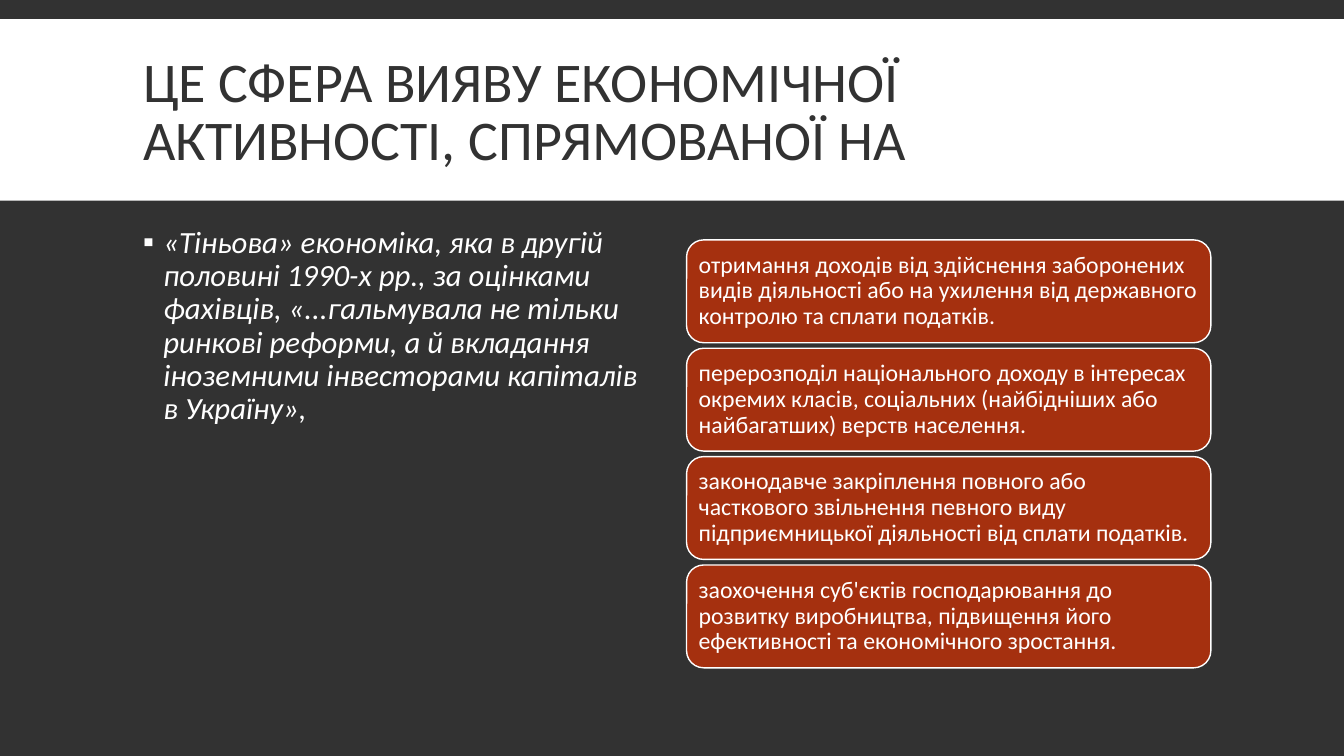
from lxml import etree
from pptx import Presentation
from pptx.dml.color import RGBColor
from pptx.enum.shapes import MSO_SHAPE
from pptx.enum.text import MSO_ANCHOR, MSO_AUTO_SIZE, PP_ALIGN
from pptx.oxml.ns import qn
from pptx.util import Inches, Pt

TITLE = "ЦЕ СФЕРА ВИЯВУ ЕКОНОМІЧНОЇ АКТИВНОСТІ, СПРЯМОВАНОЇ НА"
QUOTE = ("«Тіньова» економіка, яка в другій половині 1990-х рр., за оцінками "
         "фахівців, «...гальмувала не тільки ринкові реформи, а й вкладання "
         "іноземними інвесторами капіталів в Україну»,")
GOALS = [
    "отримання доходів від здійснення заборонених видів діяльності або на "
    "ухилення від державного контролю та сплати податків.",
    "перерозподіл національного доходу в інтересах окремих класів, соціальних "
    "(найбідніших або найбагатших) верств населення.",
    "законодавче закріплення повного або часткового звільнення певного виду "
    "підприємницької діяльності від сплати податків.",
    "заохочення суб'єктів господарювання до розвитку виробництва, підвищення "
    "його ефективності та економічного зростання.",
]

FONT = "Calibri"
DARK = RGBColor(0x32, 0x32, 0x32)
WHITE = RGBColor(0xFF, 0xFF, 0xFF)
RUST = RGBColor(0xA5, 0x30, 0x0F)
RECT, ROUND_RECT = MSO_SHAPE.RECTANGLE, MSO_SHAPE.ROUNDED_RECTANGLE
MIDDLE, TOP = MSO_ANCHOR.MIDDLE, MSO_ANCHOR.TOP
LEFT, NO_FIT = PP_ALIGN.LEFT, MSO_AUTO_SIZE.NONE

CARD_X, CARD_Y, CARD_W, CARD_H = 6.81, 2.38, 5.2, 1.02
CARD_STEP = 1.075
CARD_INSET = Inches(0.07)


def place(sp, x, y, w, h):
    sp.left, sp.top = Inches(x), Inches(y)
    sp.width, sp.height = Inches(w), Inches(h)


def write(sp, text, size, color, spacing, anchor):
    """Put one left-aligned paragraph in the shape; return it and its run."""
    tf = sp.text_frame
    tf.word_wrap = True
    tf.auto_size = NO_FIT
    tf.vertical_anchor = anchor
    p = tf.paragraphs[0]
    p.alignment = LEFT
    p.line_spacing = spacing
    p.space_before = Pt(0)
    r = p.add_run()
    r.text = text
    r.font.name = FONT
    r.font.size = Pt(size)
    r.font.color.rgb = color
    return p, r


def add_bullet(p, char, color, indent):
    pPr = p._p.get_or_add_pPr()
    pPr.set("marL", str(Inches(indent)))
    pPr.set("indent", str(-Inches(indent)))
    clr = etree.SubElement(pPr, qn("a:buClr"))
    etree.SubElement(clr, qn("a:srgbClr"), val=str(color))
    etree.SubElement(pPr, qn("a:buFont"), typeface=FONT)
    etree.SubElement(pPr, qn("a:buChar"), char=char)


def add_box(s, kind, x, y, w, h, fill):
    sp = s.shapes.add_shape(kind, Inches(x), Inches(y), Inches(w), Inches(h))
    sp.shadow.inherit = False
    sp.fill.solid()
    sp.fill.fore_color.rgb = fill
    sp.line.fill.background()
    return sp


def main():
    prs = Presentation()
    prs.slide_width, prs.slide_height = Inches(13.33), Inches(7.5)
    s = prs.slides.add_slide(prs.slide_layouts[1])
    s.background.fill.solid()
    s.background.fill.fore_color.rgb = DARK

    title, body = s.placeholders
    band = add_box(s, RECT, 0, 0.19, 13.33, 1.8, WHITE)
    title.element.addprevious(band.element)  # the band lies behind the title
    place(title, 1.32, 0.31, 10.7, 1.65)
    write(title, TITLE, 40, DARK, 0.85, MIDDLE)

    place(body, 1.32, 2.2, 5.2, 4.6)
    p, r = write(body, QUOTE, 22, WHITE, 0.9, TOP)
    r.font.italic = True
    add_bullet(p, "▪", WHITE, 0.2)

    for i, goal in enumerate(GOALS):
        card = add_box(s, ROUND_RECT, CARD_X, CARD_Y + i * CARD_STEP,
                       CARD_W, CARD_H, RUST)
        card.line.color.rgb = WHITE
        card.line.width = Pt(1)
        tf = card.text_frame
        tf.margin_left = tf.margin_right = CARD_INSET
        tf.margin_top = tf.margin_bottom = CARD_INSET
        write(card, goal, 17, WHITE, 0.9, MIDDLE)

    prs.save("out.pptx")


if __name__ == "__main__":
    main()
